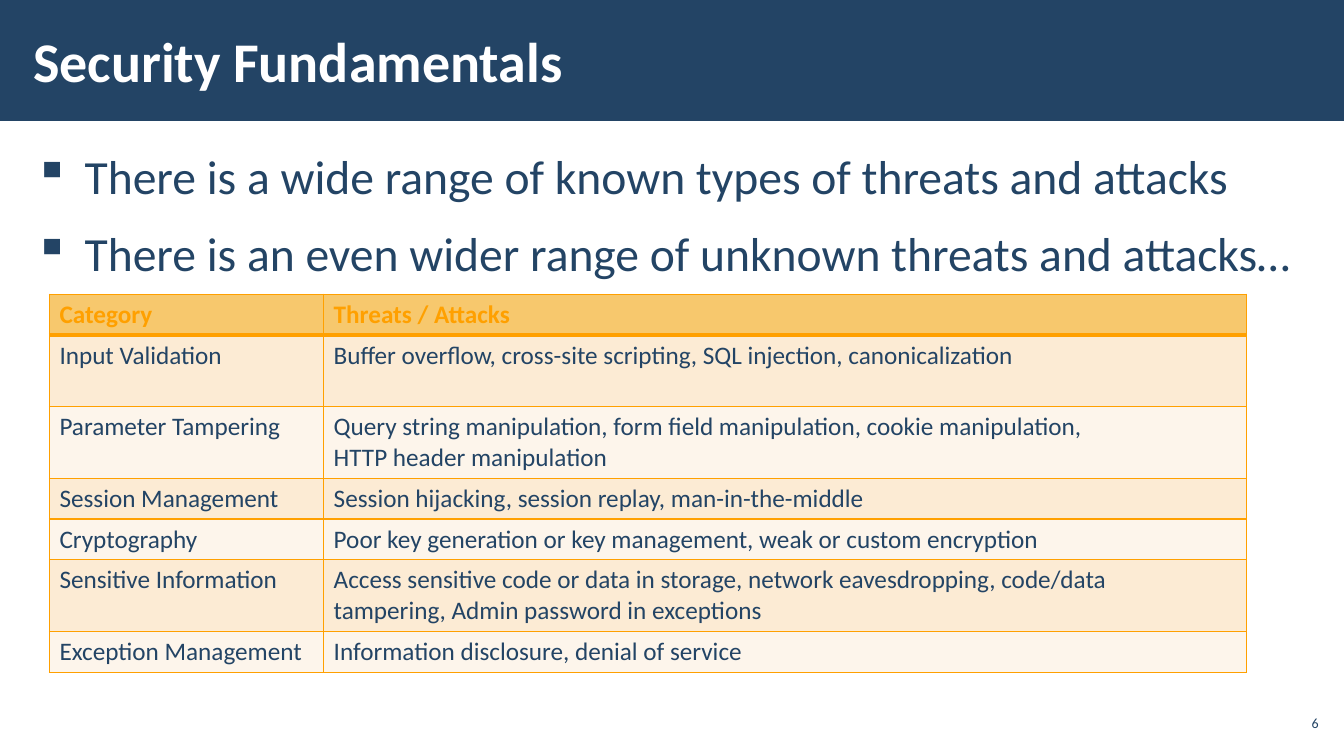
from dataclasses import dataclass

from lxml.etree import SubElement
from pptx import Presentation
from pptx.dml.color import RGBColor
from pptx.enum.shapes import MSO_SHAPE as Shape
from pptx.enum.text import MSO_ANCHOR as Anchor, PP_ALIGN as Align
from pptx.oxml.ns import qn
from pptx.util import Inches, Pt


@dataclass
class Theme:
    font: str = "Calibri"
    navy: str = "234465"
    white: str = "FFFFFF"
    amber: str = "FFA000"
    header: str = "F7C86D"
    bands: tuple = ("FCEBD4", "FDF5EB")
    title_size: int = 40
    body_size: int = 34
    table_size: int = 18
    number_size: int = 10


theme = Theme()


def write(frame, lines, size, color, bold=False, align=Align.LEFT,
          anchor=Anchor.TOP, margins=None, bullet=None, gap=0, spacing=None):
    frame.word_wrap = True
    frame.vertical_anchor = anchor
    if margins:
        frame.margin_left = frame.margin_right = Inches(margins[0])
        frame.margin_top = frame.margin_bottom = Inches(margins[1])
    for index, line in enumerate(lines):
        paragraph = frame.add_paragraph() if index else frame.paragraphs[0]
        paragraph.alignment = align
        if bullet:
            properties = paragraph._p.get_or_add_pPr()
            properties.set("marL", str(Inches(0.5)))
            properties.set("indent", str(Inches(-0.5)))
            SubElement(properties, qn("a:buChar")).set("char", bullet)
        if spacing:
            paragraph.line_spacing = spacing
        if gap:
            paragraph.space_before = Pt(gap if index else 0)
            paragraph.space_after = Pt(gap)
        run = paragraph.add_run()
        run.text = line
        run.font.name = theme.font
        run.font.size = Pt(size)
        run.font.bold = bold
        run.font.color.rgb = RGBColor.from_string(color)


presentation = Presentation()
presentation.slide_width = Inches(13.33)
presentation.slide_height = Inches(7.5)
slide = presentation.slides.add_slide(presentation.slide_layouts[6])
shapes = slide.shapes

banner = shapes.add_shape(Shape.RECTANGLE, 0, 0, presentation.slide_width,
                          int(presentation.slide_height * 0.16))
banner.shadow.inherit = False
banner.fill.solid()
banner.fill.fore_color.rgb = RGBColor.from_string(theme.navy)
banner.line.fill.background()

body = shapes.add_textbox(Inches(0.22), Inches(1.39), Inches(12.92), Inches(5.69))
write(body.text_frame,
      ["There is a wide range of known types of threats and attacks",
       "There is an even wider range of unknown threats and attacks…"],
      theme.body_size, theme.navy, margins=(0.12, 0.04), bullet="▪", gap=6, spacing=1.05)

title = shapes.add_textbox(Inches(0.21), Inches(0.11), Inches(10.4), Inches(0.97))
write(title.text_frame, ["Security Fundamentals"], theme.title_size, theme.white,
      bold=True, anchor=Anchor.MIDDLE, margins=(0.12, 0.04))

number = shapes.add_textbox(Inches(12.65), Inches(7), Inches(0.47), Inches(0.34))
write(number.text_frame, ["6"], theme.number_size, theme.navy,
      align=Align.RIGHT, anchor=Anchor.MIDDLE, margins=(0.04, 0.04))

threats = [
    ("Category", ["Threats / Attacks"], 1),
    ("Input Validation",
     ["Buffer overflow, cross-site scripting, SQL injection, canonicalization"], 2),
    ("Parameter Tampering",
     ["Query string manipulation, form field manipulation, cookie manipulation,",
      "HTTP header manipulation"], 2),
    ("Session Management", ["Session hijacking, session replay, man-in-the-middle"], 1),
    ("Cryptography", ["Poor key generation or key management, weak or custom encryption"], 1),
    ("Sensitive Information",
     ["Access sensitive code or data in storage, network eavesdropping, code/data",
      "tampering, Admin password in exceptions"], 2),
    ("Exception Management", ["Information disclosure, denial of service"], 1),
]
column_widths = [2.72, 9.15]
line_height = 0.305
cell_padding = 0.1
row_heights = [line_height * line_count + cell_padding for *_, line_count in threats]

table = shapes.add_table(len(threats), len(column_widths), Inches(0.49), Inches(2.92),
                         Inches(sum(column_widths)), Inches(sum(row_heights))).table
for column, width in zip(table.columns, column_widths):
    column.width = Inches(width)

for row_index, (category, attacks, _) in enumerate(threats):
    is_header = row_index == 0
    table.rows[row_index].height = Inches(row_heights[row_index])
    for column_index, lines in enumerate([[category], attacks]):
        cell = table.cell(row_index, column_index)
        write(cell.text_frame, lines, theme.table_size,
              theme.amber if is_header else theme.navy, bold=is_header)
        cell_properties = cell._tc.get_or_add_tcPr()
        for side in ("lnL", "lnR", "lnT", "lnB"):
            heavy = (row_index, side) in ((0, "lnB"), (1, "lnT"))
            border = SubElement(cell_properties, qn(f"a:{side}"), w=str(Pt(3 if heavy else 1)))
            SubElement(SubElement(border, qn("a:solidFill")), qn("a:srgbClr"), val=theme.amber)
        cell.fill.solid()
        cell.fill.fore_color.rgb = RGBColor.from_string(
            theme.header if is_header else theme.bands[(row_index - 1) % 2])

presentation.save("out.pptx")
